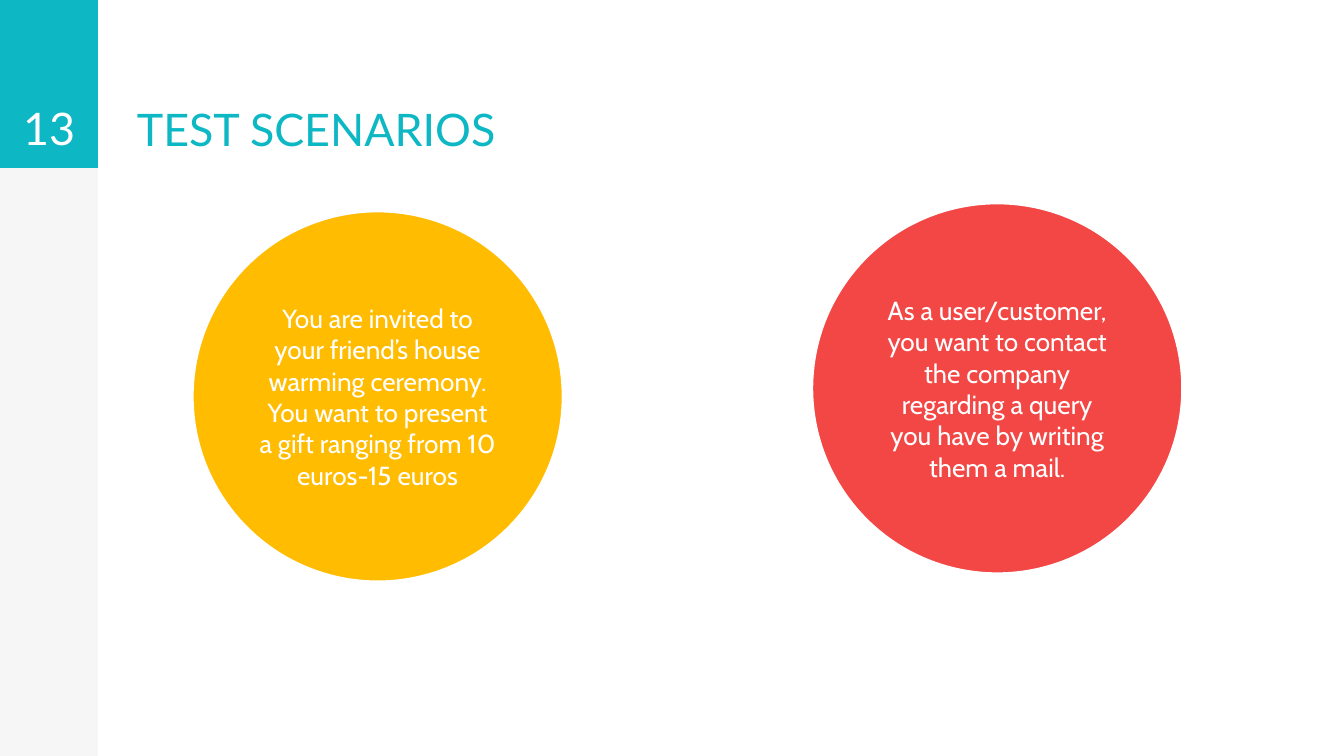
from pptx import Presentation
from pptx.dml.color import RGBColor
from pptx.enum.shapes import MSO_SHAPE as Shape
from pptx.enum.text import MSO_ANCHOR as Anchor, PP_ALIGN as Align
from pptx.util import Inches, Pt

WHITE = RGBColor(0xFF, 0xFF, 0xFF)
LIGHT_GRAY = RGBColor(0xF6, 0xF6, 0xF6)
TEAL = RGBColor(0x0D, 0xB7, 0xC4)
YELLOW = RGBColor(0xFF, 0xBC, 0x00)
RED = RGBColor(0xF2, 0x47, 0x45)

SLIDE_WIDTH = 10
SLIDE_HEIGHT = SLIDE_WIDTH * 9 / 16
SIDEBAR_WIDTH = 0.73
HEADER_HEIGHT = 1.25
CIRCLE_SIZE = 2.78

SCENARIOS = [
    (1.42, 1.56, YELLOW,
     "You are invited to your friend’s house warming ceremony. "
     "You want to present a gift ranging from 10 euros-15 euros"),
    (6.03, 1.5, RED,
     "As a user/customer, you want to contact the company "
     "regarding a query you have by writing them a mail."),
]


def write_text(shape, text, font_name, size, color, align, anchor):
    text_frame = shape.text_frame
    text_frame.word_wrap = True
    text_frame.vertical_anchor = anchor
    text_frame.margin_left = text_frame.margin_right = Inches(0.1)
    text_frame.margin_top = text_frame.margin_bottom = Inches(0.1)
    text_frame.text = text
    paragraph = text_frame.paragraphs[0]
    paragraph.alignment = align
    font = paragraph.runs[0].font
    font.name = font_name
    font.size = Pt(size)
    font.color.rgb = color


def add_filled_shape(slide, kind, left, top, width, height, color):
    shape = slide.shapes.add_shape(
        kind, Inches(left), Inches(top), Inches(width), Inches(height))
    shape.shadow.inherit = False
    shape.fill.solid()
    shape.fill.fore_color.rgb = color
    shape.line.fill.background()
    return shape


def add_heading(slide, text, left, top, width, color, align):
    text_box = slide.shapes.add_textbox(
        Inches(left), Inches(top), Inches(width), Inches(HEADER_HEIGHT))
    write_text(text_box, text, "Lato", 24, color, align, Anchor.BOTTOM)


def add_scenario(slide, left, top, color, text):
    circle = add_filled_shape(
        slide, Shape.OVAL, left, top, CIRCLE_SIZE, CIRCLE_SIZE, color)
    circle.line.color.rgb = WHITE
    circle.line.width = Pt(3)
    write_text(circle, text, "Cabin", 14, WHITE, Align.CENTER, Anchor.MIDDLE)


def main():
    presentation = Presentation()
    presentation.slide_width = Inches(SLIDE_WIDTH)
    presentation.slide_height = Inches(SLIDE_HEIGHT)
    slide = presentation.slides.add_slide(presentation.slide_layouts[6])

    # Sidebar with the page number block
    for height, color in ((SLIDE_HEIGHT, LIGHT_GRAY), (HEADER_HEIGHT, TEAL)):
        add_filled_shape(
            slide, Shape.RECTANGLE, 0, 0, SIDEBAR_WIDTH, height, color)

    # Title and page number
    add_heading(slide, "TEST SCENARIOS", 0.92, 0.01, 3.89, TEAL, Align.LEFT)
    add_heading(slide, "13", 0, 0, SIDEBAR_WIDTH, WHITE, Align.CENTER)

    # Scenario circles
    for left, top, color, text in SCENARIOS:
        add_scenario(slide, left, top, color, text)

    presentation.save("out.pptx")


if __name__ == "__main__":
    main()
